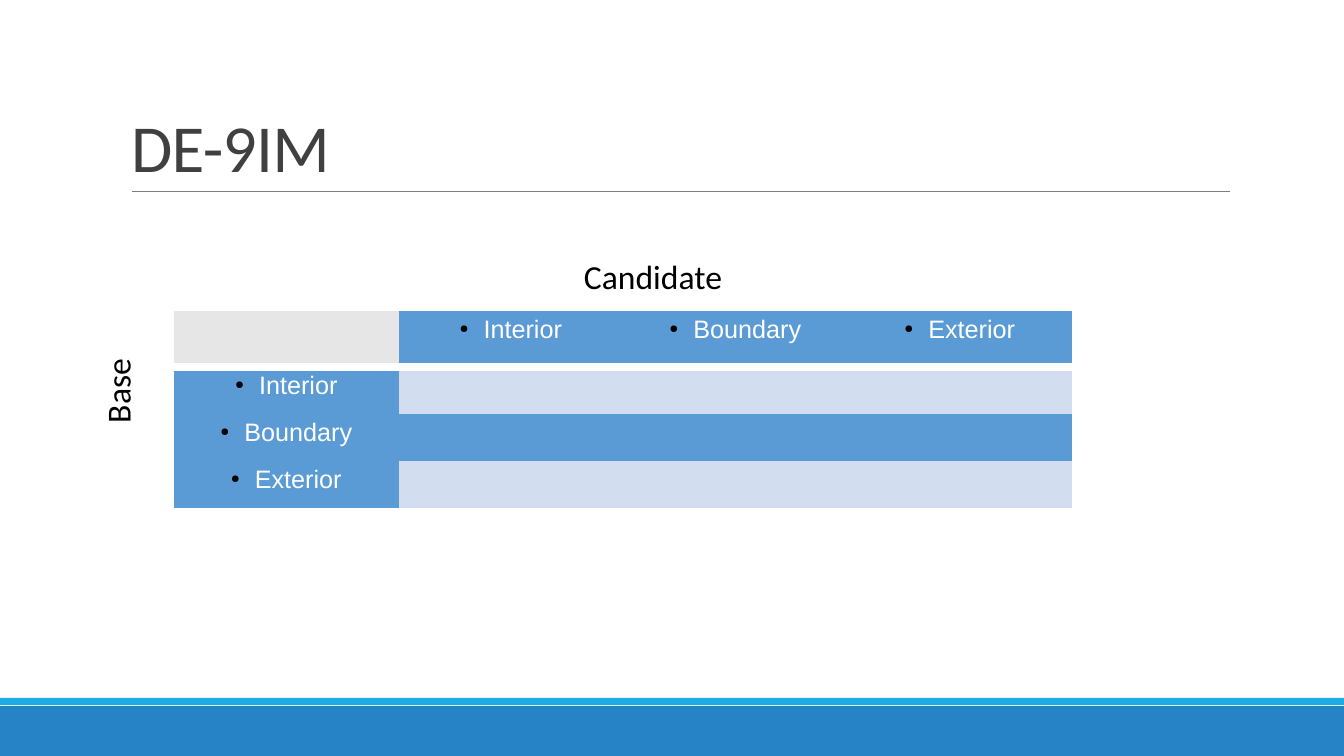
from dataclasses import dataclass

from lxml.etree import SubElement
from pptx import Presentation
from pptx.dml.color import RGBColor as Rgb
from pptx.enum.shapes import MSO_CONNECTOR as Connector, MSO_SHAPE as Shape
from pptx.enum.text import MSO_ANCHOR as Anchor, MSO_AUTO_SIZE as AutoSize, PP_ALIGN as Align
from pptx.oxml.ns import qn
from pptx.util import Emu, Pt

EMU_PER_PX = 12192000 / 1344
NO_STYLE_NO_GRID = "{2D5ABB26-0587-4C30-8999-92F81FD0307C}"
RELATIONS = ("Interior", "Boundary", "Exterior")


@dataclass(frozen=True)
class Theme:
    heading_font: str = "Calibri"
    cell_font: str = "Arial"
    title_size: int = 48
    label_size: int = 24
    cell_size: int = 18
    rule_width: float = 0.5
    divider_width: int = 6
    title: str = "404040"
    ink: str = "000000"
    white: str = "FFFFFF"
    rule: str = "7F7F7F"
    footer: str = "2683C6"
    strip: str = "1CADE4"
    header: str = "5B9BD5"
    light: str = "D2DEEF"
    corner: str = "E7E6E6"


THEME = Theme()


def px(length):
    return Emu(round(length * EMU_PER_PX))


def paint(fill, color):
    fill.solid()
    fill.fore_color.rgb = Rgb.from_string(color)


def style_text(para, font_name, size, color, align):
    para.alignment = align
    para.font.name = font_name
    para.font.size = Pt(size)
    para.font.color.rgb = Rgb.from_string(color)


def add_bullet(para):
    properties = para._p.get_or_add_pPr()
    indent = px(24)
    properties.set("marL", str(indent))
    properties.set("indent", str(-indent))
    color = SubElement(properties, qn("a:buClr"))
    SubElement(color, qn("a:srgbClr"), val=THEME.ink)
    SubElement(properties, qn("a:buSzPct"), val="45000")
    SubElement(properties, qn("a:buChar"), char="●")


def add_divider(cell):
    properties = cell._tc.get_or_add_tcPr()
    line = SubElement(properties, qn("a:lnB"), w=str(Pt(THEME.divider_width)))
    fill = SubElement(line, qn("a:solidFill"))
    SubElement(fill, qn("a:srgbClr"), val=THEME.white)


def draw_footer(slide, left, top, width, height):
    strip_height = 7
    gap = 1
    band_top = strip_height + gap
    for offset, depth, color in (
        (band_top, height - band_top, THEME.footer),
        (0, strip_height, THEME.strip),
    ):
        band = slide.shapes.add_shape(
            Shape.RECTANGLE, px(left), px(top + offset), px(width), px(depth)
        )
        band.shadow.inherit = False
        paint(band.fill, color)
        band.line.fill.background()


def draw_title(slide, text, left, top, width, height):
    title = slide.shapes.title
    title.left, title.top, title.width, title.height = map(px, (left, top, width, height))
    frame = title.text_frame
    frame.text = text
    frame.word_wrap = True
    frame.auto_size = AutoSize.NONE
    frame.vertical_anchor = Anchor.BOTTOM
    para = frame.paragraphs[0]
    para.line_spacing = 0.85
    style_text(para, THEME.heading_font, THEME.title_size, THEME.title, Align.LEFT)
    para._p.get_or_add_pPr().find(qn("a:defRPr")).set("spc", "-50")

    rule_left, rule_top = left + 11, top + height
    rule = slide.shapes.add_connector(
        Connector.STRAIGHT, px(rule_left), px(rule_top), px(left + width), px(rule_top)
    )
    rule.line.color.rgb = Rgb.from_string(THEME.rule)
    rule.line.width = Pt(THEME.rule_width)
    SubElement(rule.element.spPr, qn("a:effectLst"))


def draw_axis_label(slide, text, left, top, width, height, rotation=0):
    label = slide.shapes.add_textbox(px(left), px(top), px(width), px(height))
    label.rotation = rotation
    frame = label.text_frame
    frame.word_wrap = True
    frame.text = text
    style_text(frame.paragraphs[0], THEME.heading_font, THEME.label_size, THEME.ink, Align.CENTER)


def cell_color(row, column):
    if row == column == 0:
        return THEME.corner
    if row == 0 or column == 0 or row % 2 == 0:
        return THEME.header
    return THEME.light


def draw_matrix(slide, left, top, width, height):
    count = len(RELATIONS) + 1
    row_height = 47
    box = slide.shapes.add_table(count, count, px(left), px(top), px(width), px(height))
    box.element.find(".//" + qn("a:tableStyleId")).text = NO_STYLE_NO_GRID
    table = box.table
    table.horz_banding = False
    for column in table.columns:
        column.width = px(width / count)
    for index, row in enumerate(table.rows):
        row.height = px(row_height if index else height - row_height * (count - 1))

    for row in range(count):
        for column in range(count):
            cell = table.cell(row, column)
            if row == 0:
                add_divider(cell)
            paint(cell.fill, cell_color(row, column))
            if (row == 0) != (column == 0):
                cell.text = RELATIONS[row + column - 1]
                para = cell.text_frame.paragraphs[0]
                add_bullet(para)
                style_text(para, THEME.cell_font, THEME.cell_size, THEME.white, Align.CENTER)


def build_matrix_slide(deck):
    slide = deck.slides.add_slide(deck.slide_layouts[5])
    draw_footer(slide, 0, 698, 1344, 58)
    draw_title(slide, "DE-9IM", 121, 31, 1109, 160)
    draw_matrix(slide, 174, 311, 898, 197)
    draw_axis_label(slide, "Candidate", 495, 251, 316, 50)
    draw_axis_label(slide, "Base", -41, 366, 316, 50, rotation=270)


def main():
    deck = Presentation()
    deck.slide_width, deck.slide_height = px(1344), px(756)
    build_matrix_slide(deck)
    deck.save("out.pptx")


if __name__ == "__main__":
    main()
